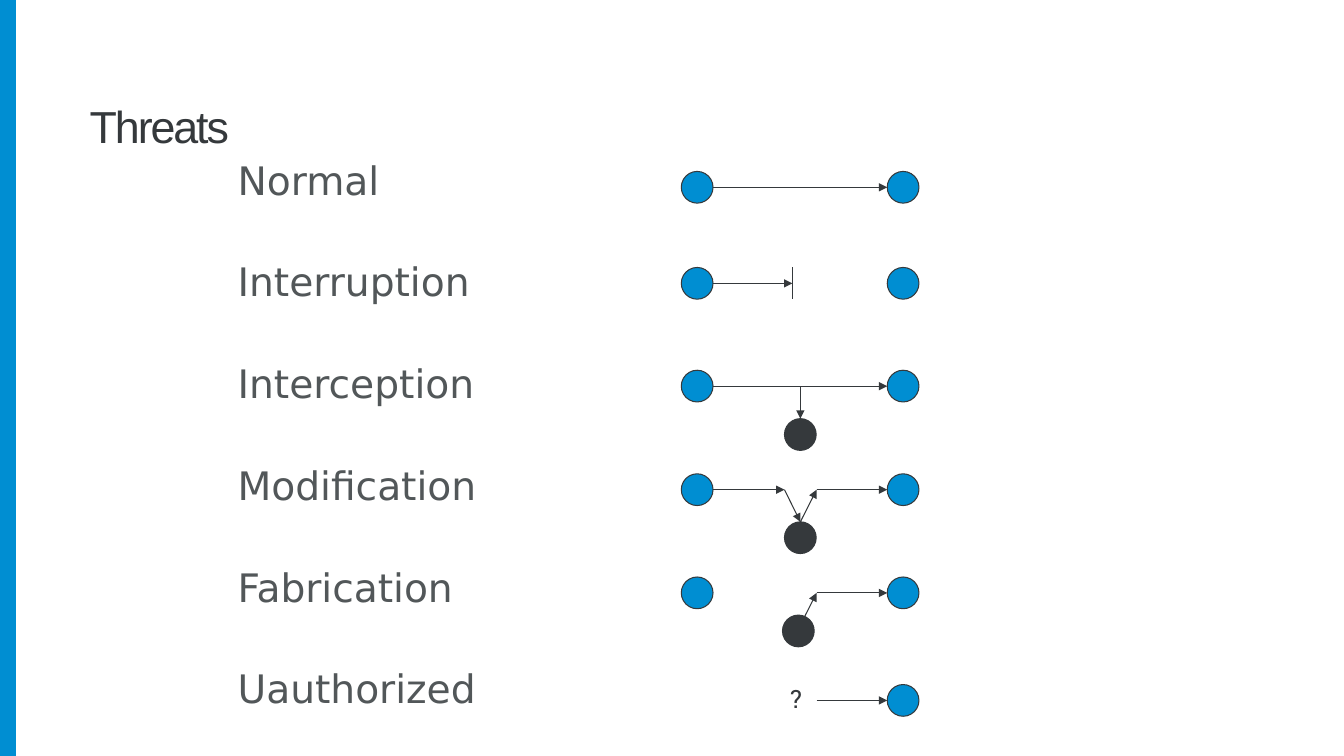
"""Build the slide that sketches the threats to a message on its way from sender to receiver."""
from lxml.etree import SubElement
from pptx import Presentation
from pptx.dml.color import RGBColor
from pptx.enum.shapes import MSO_CONNECTOR as LINE, MSO_SHAPE as SHAPE
from pptx.enum.text import MSO_ANCHOR as ANCHOR
from pptx.oxml.ns import qn
from pptx.util import Cm, Pt

BLUE = RGBColor(0x00, 0x8E, 0xD2)
DARK = RGBColor(0x35, 0x39, 0x3C)
GREY = RGBColor(0x52, 0x57, 0x59)

DOT = 0.8
SENDER, RECEIVER = 17.57, 22.76
LEAVE, ARRIVE = SENDER + DOT / 2, RECEIVER - DOT / 2
BARRIER = 19.97
DETOUR_START, MIDDLE, DETOUR_END = 19.77, 20.17, 20.58
NORMAL, INTERRUPTION, INTERCEPTION = 4.72, 7.14, 9.73
MODIFICATION, FABRICATION, UNAUTHORIZED = 12.34, 14.94, 17.65
TAPPED, ALTERED, FORGED = 10.95, 13.55, 15.9

prs = Presentation()
prs.slide_width, prs.slide_height = Cm(33.87), Cm(19.05)
slide = prs.slides.add_slide(prs.slide_layouts[6])
shapes = slide.shapes


def add_filled(kind, left, top, width, height, color):
    filled = shapes.add_shape(kind, Cm(left), Cm(top), Cm(width), Cm(height))
    filled.shadow.inherit = False
    filled.fill.solid()
    filled.fill.fore_color.rgb = color
    return filled


def add_text(left, top, width, height, lines, font, size, color):
    frame = shapes.add_textbox(Cm(left), Cm(top), Cm(width), Cm(height)).text_frame
    frame.word_wrap = True
    frame.text = "\n".join(lines)
    for paragraph in frame.paragraphs:
        for run in paragraph.runs:
            run.font.name, run.font.size = font, Pt(size)
            run.font.color.rgb = color
    return frame


side_bar = add_filled(SHAPE.RECTANGLE, 0, 0, 0.4, 19.05, BLUE)
side_bar.line.fill.background()

title = add_text(2.01, 2.06, 25.07, 2.21, ["Threats"], "Arial", 32, DARK)
title.vertical_anchor = ANCHOR.MIDDLE
title.paragraphs[0].runs[0].font._element.set("spc", "-150")

threats = ["Normal", "Interruption", "Interception", "Modification", "Fabrication", "Uauthorized"]
labels = add_text(5.74, 3.94, 22.86, 12.57, threats, "DejaVu Sans", 28, GREY)
for label in labels.paragraphs:
    label.line_spacing = 0.9
    label.space_after = Pt(42.4)

senders = [(SENDER, y, BLUE) for y in
           (NORMAL, INTERRUPTION, INTERCEPTION, MODIFICATION, FABRICATION)]
receivers = [(RECEIVER, y, BLUE) for y in
             (NORMAL, INTERRUPTION, INTERCEPTION, MODIFICATION, FABRICATION, UNAUTHORIZED)]
attackers = [(MIDDLE, TAPPED, DARK), (MIDDLE, ALTERED, DARK), (20.12, FORGED, DARK)]
for x, y, color in senders + receivers + attackers:
    party = add_filled(SHAPE.OVAL, x - DOT / 2, y - DOT / 2, DOT, DOT, color)
    party.line.color.rgb = DARK
    party.line.width = Pt(0.75)

flows = [
    (LEAVE, NORMAL, ARRIVE, NORMAL, True),
    (LEAVE, INTERRUPTION, BARRIER, INTERRUPTION, True),
    (BARRIER, INTERRUPTION - DOT / 2, BARRIER, INTERRUPTION + DOT / 2, False),
    (LEAVE, INTERCEPTION, ARRIVE, INTERCEPTION, True),
    (MIDDLE, INTERCEPTION, MIDDLE, TAPPED - DOT / 2, True),
    (LEAVE, MODIFICATION, DETOUR_START, MODIFICATION, True),
    (DETOUR_START, MODIFICATION, MIDDLE, ALTERED - DOT / 2, True),
    (MIDDLE, ALTERED - DOT / 2, DETOUR_END, MODIFICATION, True),
    (DETOUR_END, MODIFICATION, ARRIVE, MODIFICATION, True),
    (MIDDLE, 15.75, DETOUR_END, FABRICATION, True),
    (DETOUR_END, FABRICATION, ARRIVE, FABRICATION, True),
    (DETOUR_END, UNAUTHORIZED, ARRIVE, UNAUTHORIZED, True),
]
for x1, y1, x2, y2, has_arrow in flows:
    flow = shapes.add_connector(LINE.STRAIGHT, Cm(x1), Cm(y1), Cm(x2), Cm(y2))
    flow.line.color.rgb = DARK
    flow.line.width = Pt(0.75)
    if has_arrow:
        SubElement(flow.line._get_or_add_ln(), qn("a:tailEnd"), type="triangle")
    SubElement(flow._element.spPr, qn("a:effectLst"))

unknown_sender = add_text(19.66, 17.09, 0.86, 1.02, ["?"], "Roboto Slab", 18, DARK)
unknown_sender.word_wrap = False

prs.save("out.pptx")
